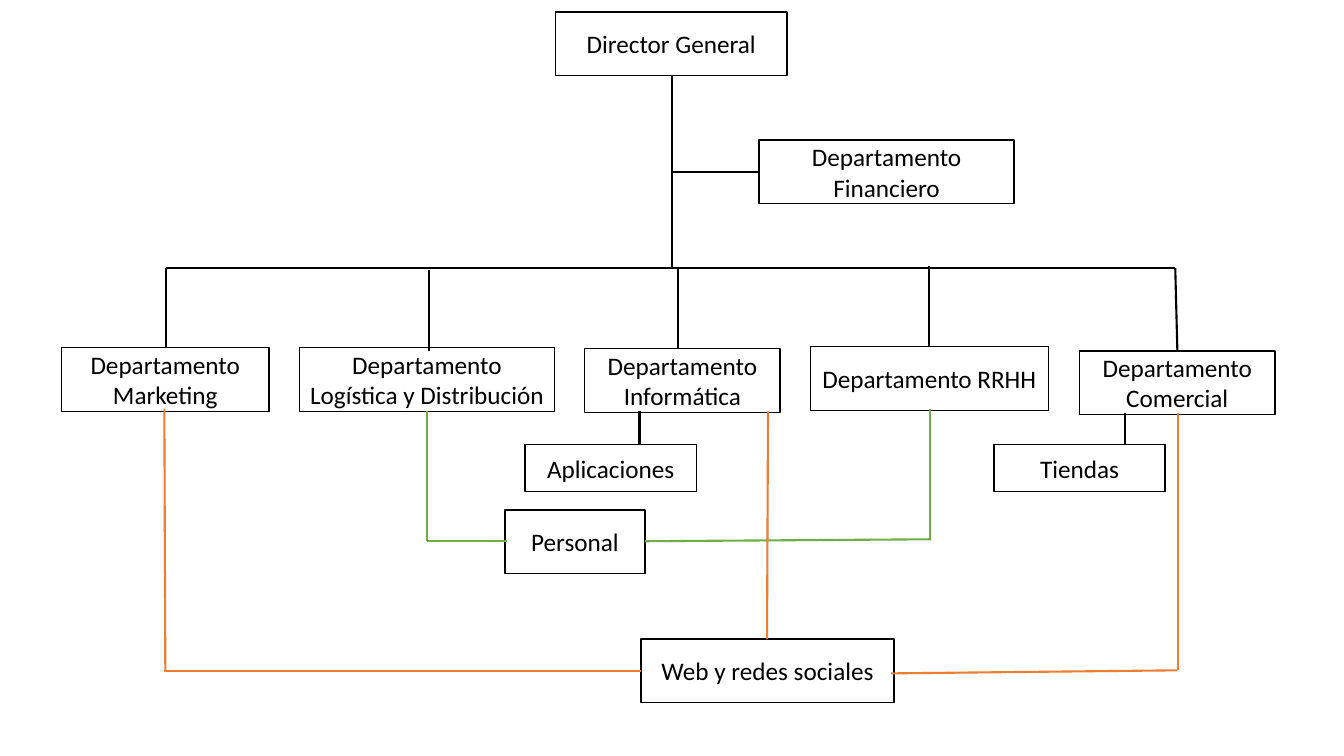
from lxml import etree
from pptx import Presentation
from pptx.dml.color import RGBColor
from pptx.enum.shapes import MSO_CONNECTOR, MSO_SHAPE
from pptx.enum.text import MSO_ANCHOR, PP_ALIGN
from pptx.oxml.ns import qn
from pptx.util import Pt

RECTANGLE = MSO_SHAPE.RECTANGLE
STRAIGHT = MSO_CONNECTOR.STRAIGHT
MIDDLE = MSO_ANCHOR.MIDDLE
CENTER = PP_ALIGN.CENTER

BLACK = RGBColor(0x00, 0x00, 0x00)
WHITE = RGBColor(0xFF, 0xFF, 0xFF)
GREEN = RGBColor(0x70, 0xAD, 0x47)
ORANGE = RGBColor(0xED, 0x7D, 0x31)

BLANK_LAYOUT = 6
BOX_HEIGHT = 45.4
SMALL_HEIGHT = 33.8


class OrgChart:
    """Holds the style and the current slide."""

    font_format = {"name": "Calibri", "size": Pt(18)}
    box_line = Pt(1)
    link_line = Pt(1.5)

    def __init__(self, slide):
        self.slide = slide

    def box(self, text, left, top, width, height=BOX_HEIGHT):
        shape = self.slide.shapes.add_shape(
            RECTANGLE, Pt(left), Pt(top), Pt(width), Pt(height))
        shape.shadow.inherit = False
        shape.fill.solid()
        shape.fill.fore_color.rgb = WHITE
        shape.line.color.rgb = BLACK
        shape.line.width = self.box_line
        frame = shape.text_frame
        frame.word_wrap = True
        frame.vertical_anchor = MIDDLE
        paragraph = frame.paragraphs[0]
        paragraph.alignment = CENTER
        run = paragraph.add_run()
        run.text = text
        for name, value in self.font_format.items():
            setattr(run.font, name, value)
        run.font.color.rgb = BLACK

    def link(self, color, start_x, start_y, end_x, end_y):
        connector = self.slide.shapes.add_connector(
            STRAIGHT, Pt(start_x), Pt(start_y), Pt(end_x), Pt(end_y))
        connector.line.color.rgb = color
        connector.line.width = self.link_line
        properties = connector._element.spPr
        etree.SubElement(properties, qn("a:effectLst"))


presentation = Presentation()
presentation.slide_width = Pt(960)
presentation.slide_height = Pt(540)
slide = presentation.slides.add_slide(presentation.slide_layouts[BLANK_LAYOUT])
chart = OrgChart(slide)

# Boxes: management, departments, sections and shared functions
BOXES = [
    ("Director General", 396.7, 8.6, 165.6),
    ("Departamento Financiero", 542.2, 100.1, 182.2),
    ("Departamento Marketing", 43.9, 248.4, 148.3),
    ("Departamento Logística y Distribución", 213.8, 248.4, 182.4),
    ("Departamento Informática", 417.6, 249.1, 139.7),
    ("Departamento RRHH", 578.9, 247.7, 169.9),
    ("Departamento Comercial", 771.1, 250.6, 139.7),
    ("Personal", 360.7, 364.3, 100.1),
    ("Web y redes sociales", 457.9, 456.5, 180.7),
    ("Aplicaciones", 375.1, 317.5, 122.4, SMALL_HEIGHT),
    ("Tiendas", 709.9, 317.5, 122.4, SMALL_HEIGHT),
]
for box in BOXES:
    chart.box(*box)

# Lines by colour: hierarchy, staff and web
TRUNK_X, RAIL_Y = 480.2, 191.5
LINKS = {
    BLACK: [
        # Trunk, finance branch and rail
        (TRUNK_X, 54, TRUNK_X, RAIL_Y),
        (542.2, 122.8, TRUNK_X, 122.8),
        (TRUNK_X, RAIL_Y, 839.5, RAIL_Y),
        (118.4, RAIL_Y, TRUNK_X, RAIL_Y),
        # Drops to the departments
        (118.4, RAIL_Y, 118.4, 248.4),
        (306.2, 193, 306.2, 250.6),
        (484.6, RAIL_Y, 484.6, 248.4),
        (663.8, 190.1, 663.8, 247.7),
        (841, 250.6, 839.5, RAIL_Y),
        # Drops to the sections
        (456.8, 293.8, 456.8, 317.5),
        (803.5, 295.2, 803.5, 317.5),
    ],
    GREEN: [
        (304.9, 293.8, 304.9, 386.6),
        (664.6, 292.3, 664.6, 385.2),
        (460.8, 386.6, 665.3, 385.2),
        (304.9, 386.6, 362.2, 386.6),
    ],
    ORANGE: [
        (548.6, 293.8, 547.9, 456.5),
        (841.3, 295.2, 841.3, 478.8),
        (117.4, 292.3, 118.1, 478.8),
        (117.4, 479.5, 457.9, 479.5),
        (636.5, 481, 841, 478.8),
    ],
}
for color, links in LINKS.items():
    for ends in links:
        chart.link(color, *ends)

presentation.save("out.pptx")
